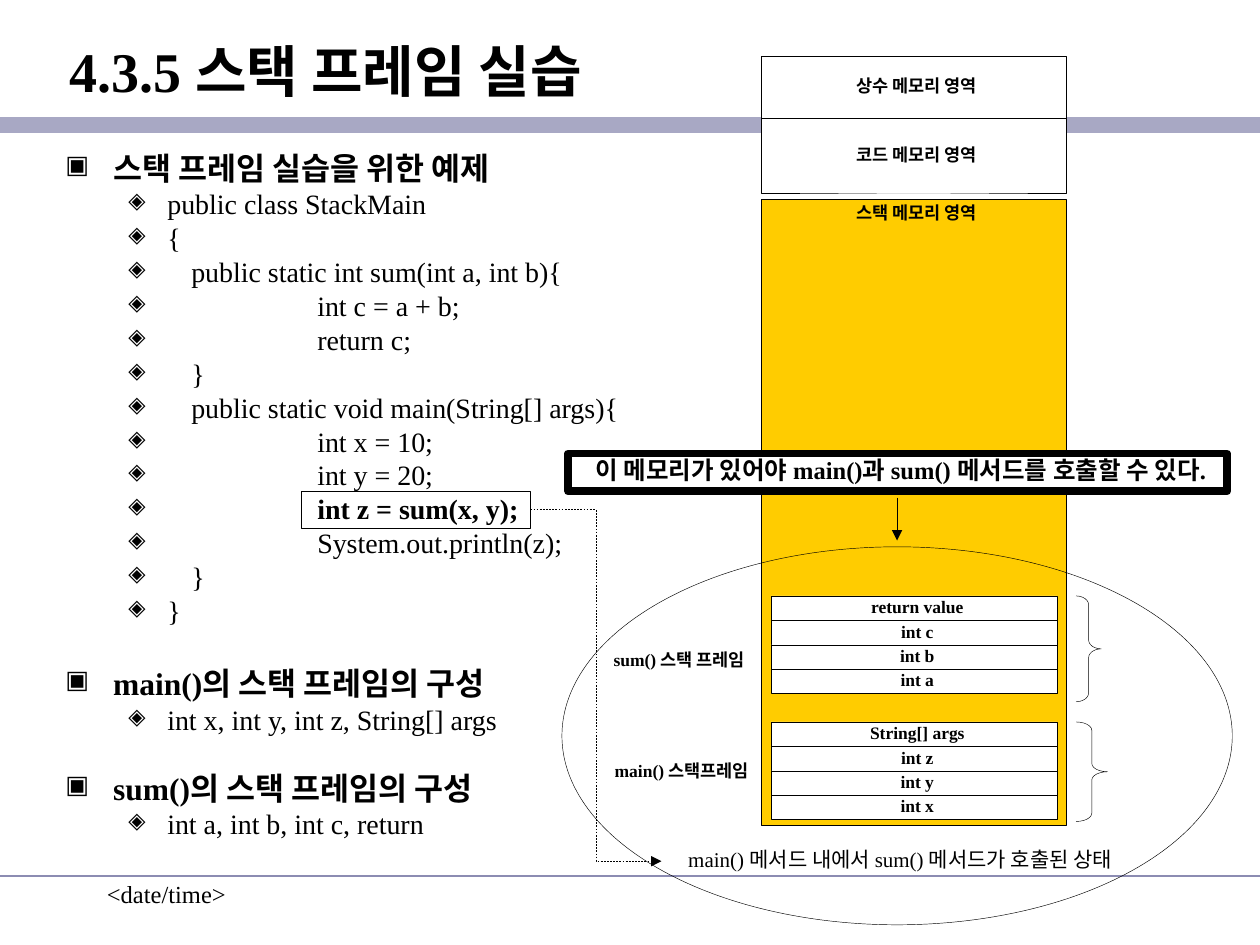
"""Build the stack frame practice slide: code on the left, memory map on the right."""
import pptx
import pptx.util
import pptx.dml.color
import pptx.enum.dml
import pptx.enum.shapes
import pptx.enum.text
import pptx.oxml.ns
from lxml import etree

Pt = pptx.util.Pt
tone = pptx.dml.color.RGBColor.from_string
qn = pptx.oxml.ns.qn
Shape = pptx.enum.shapes.MSO_SHAPE
Link = pptx.enum.shapes.MSO_CONNECTOR
Align = pptx.enum.text.PP_ALIGN
Anchor = pptx.enum.text.MSO_ANCHOR

deck = pptx.Presentation()
deck.slide_width = pptx.util.Inches(10)
deck.slide_height = pptx.util.Inches(7.5)
col = deck.slide_width / 100
row = deck.slide_height / 75
slide = deck.slides.add_slide(deck.slide_layouts[5])
shapes = slide.shapes


def draw(kind, x, y, wide, high, fill=None, line="000000", width=0.25):
    """Draw a shape on the grid; without a kind, a plain text box."""
    spot = [int(n) for n in (x * col, y * row, wide * col, high * row)]
    if kind is None:
        return shapes.add_textbox(*spot)
    item = shapes.add_shape(kind, *spot)
    item.shadow.inherit = False
    if fill:
        item.fill.solid()
        item.fill.fore_color.rgb = tone(fill)
    else:
        item.fill.background()
    item.line.color.rgb = tone(line)
    item.line.width = Pt(width)
    return item


def label(item, text, size=10, bold=True, anchor=Anchor.MIDDLE):
    """Write one centred line into a shape."""
    frame = item.text_frame
    frame.text = text
    frame.word_wrap = False
    frame.vertical_anchor = anchor
    frame.margin_left = int(0.5 * col)
    frame.margin_right = 0
    para = frame.paragraphs[0]
    para.alignment = Align.CENTER
    para.line_spacing = 0.85
    font = para.runs[0].font
    font.name, font.size, font.bold = "Times New Roman", Pt(size), bold
    font.color.rgb = tone("000000")


for y, hue, width in ((9.9, "A8A8C4", 9.25), (69.5, "8C8CB2", 1)):
    rule = shapes.add_connector(Link.STRAIGHT, 0, int(y * row), deck.slide_width, int(y * row))
    rule.line.color.rgb = tone(hue)
    rule.line.width = Pt(width)
    etree.SubElement(rule._element.spPr, qn("a:effectLst"))

title = shapes.title
title.left, title.top = 0, int(1.1 * row)
title.width, title.height = deck.slide_width, int(9 * row)
title.text_frame.text = "4.3.5 스택 프레임 실습"
title.text_frame.margin_left = int(5.5 * col)
title.text_frame.vertical_anchor = Anchor.MIDDLE
date = draw(None, 7.5, 69.3, 20.8, 5)
date.text_frame.text = "<date/time>"
for item, size, bold in ((title, 32, True), (date, 14, False)):
    para = item.text_frame.paragraphs[0]
    para.alignment = Align.LEFT
    font = para.runs[0].font
    font.name, font.size, font.bold = "Times New Roman", Pt(size), bold
    font.color.rgb = tone("000000")

call = "\t\tint z = sum(x, y);"
parts = (
    ("스택 프레임 실습을 위한 예제", 0, (
        "public class StackMain", "{", "\tpublic static int sum(int a, int b){",
        "\t\tint c = a + b;", "\t\treturn c;", "\t}",
        "\tpublic static void main(String[] args){", "\t\tint x = 10;",
        "\t\tint y = 20;", call, "\t\tSystem.out.println(z);", "\t}", "}")),
    ("main()의 스택 프레임의 구성", 25.5, ("int x, int y, int z, String[] args",)),
    ("sum()의 스택 프레임의 구성", 23, ("int a, int b, int c, return",)),
)
lines = []
for head, gap, code in parts:
    lines.append((head, 0, gap))
    lines.extend((text, 1, 4) for text in code)

body = draw(None, 4.2, 11.9, 91.6, 57.1).text_frame
body.word_wrap = True
body.text = "\n".join(text for text, level, gap in lines)
for para, (text, level, gap) in zip(body.paragraphs, lines):
    para.level = level
    para.line_spacing = 0.8
    if gap:
        para.space_before = Pt(gap)
    props = para._p.get_or_add_pPr()
    props.set("marL", str(int((3.8, 8.1)[level] * col)))
    props.set("indent", str(int((-3.8, -3.1)[level] * col)))
    hue = etree.SubElement(props, qn("a:buClr"))
    etree.SubElement(hue, qn("a:srgbClr"), val="000000")
    etree.SubElement(props, qn("a:buSzPct"), val="80000")
    etree.SubElement(props, qn("a:buChar"), char="▣◈"[level])
    tabs = etree.SubElement(props, qn("a:tabLst"))
    for stop in (1, 2):
        etree.SubElement(tabs, qn("a:tab"), pos=str(int(stop * 10 * col)), algn="l")
    font = para.runs[0].font
    font.name, font.size = "Times New Roman", Pt((18, 16)[level])
    font.bold = level == 0 or text == call
    font.color.rgb = tone("000000")

for text, y, high, fill, anchor in (
        ("상수 메모리 영역", 4.5, 4.9, "FFFFFF", Anchor.MIDDLE),
        ("코드 메모리 영역", 9.4, 5.9, "FFFFFF", Anchor.MIDDLE),
        ("스택 메모리 영역", 15.8, 49.7, "FFCC00", Anchor.TOP)):
    label(draw(Shape.RECTANGLE, 60.4, y, 24.2, high, fill), text, anchor=anchor)

frames = (
    ("sum() 스택 프레임", 47.3, 48, 51.3, 11.3, 2, 8.4,
     ("return value", "int c", "int b", "int a")),
    ("main() 스택프레임", 57.3, 48.1, 60.1, 11.5, 2.5, 7.9,
     ("String[] args", "int z", "int y", "int x")),
)
for name, top, x, y, wide, deep, high, cells in frames:
    label(draw(None, x, y, wide, 2.4), name, anchor=Anchor.TOP)
    for i, text in enumerate(cells):
        label(draw(Shape.RECTANGLE, 61.2, top + i * 1.94, 22.7, 1.94, "FFFFFF"), text)
    brace = draw(Shape.RIGHT_BRACE, 85.4, top, deep, high)
    brace.adjustments[0] = high / deep / 12

draw(Shape.OVAL, 44.6, 43.4, 53.2, 30)
need = draw(Shape.RECTANGLE, 45.1, 36, 52.3, 3, "FFFFFF", width=4.5)
label(need, "이 메모리가 있어야 main()과 sum() 메서드를 호출할 수 있다.", 14)
mark = draw(Shape.RECTANGLE, 23.9, 39, 18.2, 2.9)
state = draw(None, 52.5, 67, 37.4, 2.7)
label(state, "main() 메서드 내에서 sum() 메서드가 호출된 상태", 12, False, Anchor.TOP)

drop = shapes.add_connector(Link.STRAIGHT, *[int(n) for n in (
    71.2 * col, 39.5 * row, 71.2 * col, 42.9 * row)])
trail = shapes.add_connector(Link.ELBOW, 0, 0, 0, 0)
trail.begin_connect(mark, 3)
trail.end_connect(state, 1)
trail.line.dash_style = pptx.enum.dml.MSO_LINE.DASH
for arrow in (drop, trail):
    arrow.line.color.rgb = tone("000000")
    arrow.line.width = Pt(0.25)
    etree.SubElement(arrow.line._get_or_add_ln(), qn("a:tailEnd"), type="triangle")
    etree.SubElement(arrow._element.spPr, qn("a:effectLst"))

deck.save("out.pptx")
